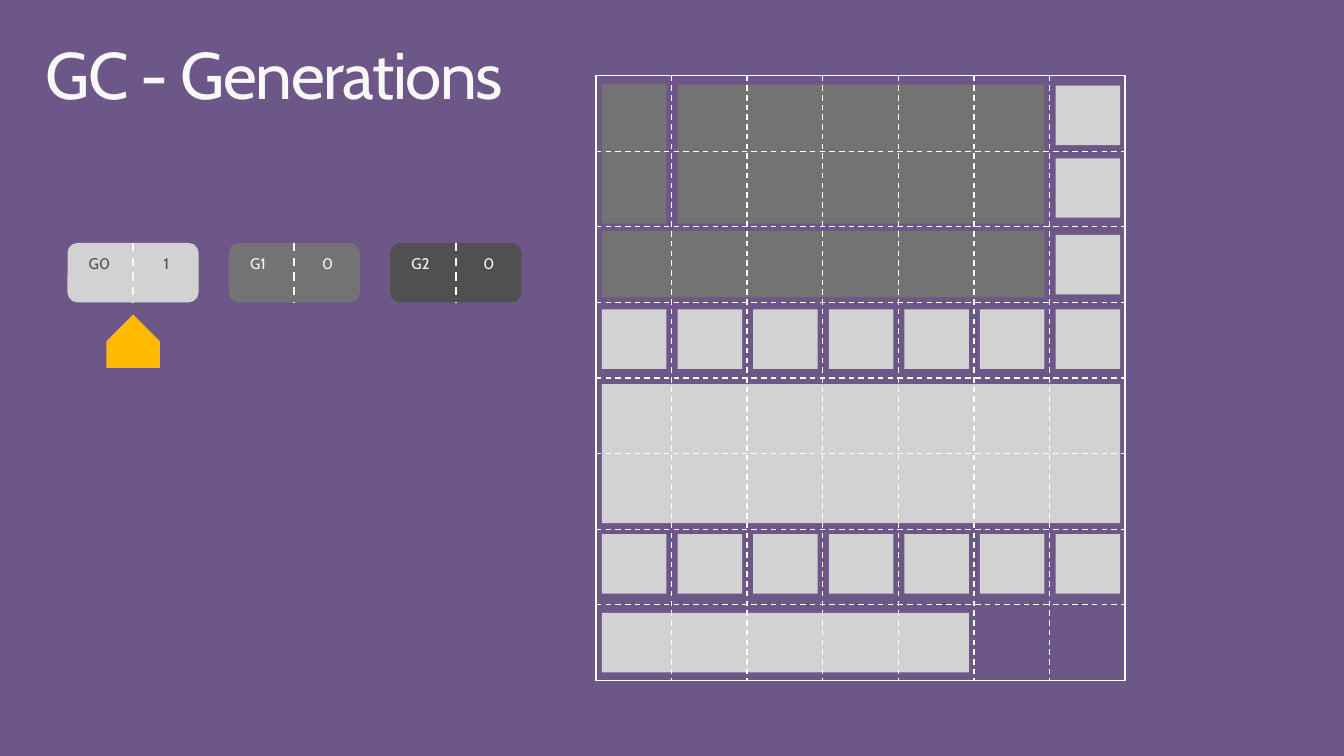
from lxml import etree
from pptx import Presentation
from pptx.dml.color import RGBColor
from pptx.enum.dml import MSO_LINE
from pptx.enum.shapes import MSO_CONNECTOR, MSO_SHAPE
from pptx.enum.text import MSO_ANCHOR, MSO_AUTO_SIZE, PP_ALIGN
from pptx.oxml.ns import qn
from pptx.util import Inches, Pt

RECT = MSO_SHAPE.RECTANGLE
PILL = MSO_SHAPE.ROUNDED_RECTANGLE
POINTER = MSO_SHAPE.PENTAGON
STRAIGHT = MSO_CONNECTOR.STRAIGHT
DASH = MSO_LINE.DASH
TOP = MSO_ANCHOR.TOP
GROW = MSO_AUTO_SIZE.SHAPE_TO_FIT_TEXT
LEFT, CENTER = PP_ALIGN.LEFT, PP_ALIGN.CENTER

SLIDE_W, SLIDE_H = 13.33, 7.5
FONT = "Cabin"
WHITE, PAPER, PURPLE, AMBER = "FFFFFF", "F8F8F8", "32145A", "FFB900"
LIGHT, MEDIUM, DARK = "D2D2D2", "737373", "505050"

HEAP_X, HEAP_Y, CELL = 5.91, 0.75, 0.75
COLUMNS, ROWS = 7, 8
INSET, GAP = 0.06, 0.11
SMALL = 0.59

GEN_X, GEN_Y, GEN_PITCH = 0.67, 2.41, 1.6
GEN_W, GEN_H = 1.3, 0.59
POINTER_SIZE = 0.53

# column, row, columns spanned, drop below the row line, height, fill
WIDE_BLOCKS = [
    (0, 7, 5, 0.08, SMALL, LIGHT),
    (0, 4, 7, 0.06, 1.38, LIGHT),
    (0, 0, 1, 0.08, 1.39, MEDIUM),
    (0, 2, 6, 0.04, 0.66, MEDIUM),
    (1, 0, 5, 0.09, 1.38, MEDIUM),
]
SMALL_BLOCKS = [(6, row, 1, drop, SMALL, LIGHT)
                for row, drop in ((0, 0.1), (1, 0.07), (2, 0.08))]
SMALL_BLOCKS += [(column, row, 1, drop, SMALL, LIGHT)
                 for row, drop in ((3, 0.07), (6, 0.05)) for column in range(COLUMNS)]

GENERATIONS = [("G0", "1", LIGHT, DARK), ("G1", "0", MEDIUM, PAPER), ("G2", "0", DARK, PAPER)]


def rgb(hex_color):
    """Turn a hex string into a colour."""
    return RGBColor.from_string(hex_color)


def add_box(shapes, kind, x, y, width, height, fill=None, outline=None):
    """Add a flat preset shape with an optional fill and outline."""
    box = shapes.add_shape(kind, Inches(x), Inches(y), Inches(width), Inches(height))
    box.shadow.inherit = False
    if fill:
        box.fill.solid()
        box.fill.fore_color.rgb = rgb(fill)
    else:
        box.fill.background()
    if outline:
        box.line.color.rgb = rgb(outline)
        box.line.width = Pt(1)
    else:
        box.line.fill.background()
    return box


def add_dashes(shapes, x1, y1, x2, y2, color, weight):
    """Add a dashed straight line without a shadow."""
    dashes = shapes.add_connector(STRAIGHT, Inches(x1), Inches(y1), Inches(x2), Inches(y2))
    dashes.line.color.rgb = rgb(color)
    dashes.line.width = Pt(weight)
    dashes.line.dash_style = DASH
    etree.SubElement(dashes._element.spPr, qn("a:effectLst"))
    return dashes


def add_text(shapes, x, y, width, height, words, size, color, margins, align=LEFT, after=0):
    """Add one line of text and return its box and run."""
    box = shapes.add_textbox(Inches(x), Inches(y), Inches(width), Inches(height))
    frame = box.text_frame
    frame.word_wrap = True
    frame.vertical_anchor = TOP
    frame.margin_left = frame.margin_right = Inches(margins[0])
    frame.margin_top = frame.margin_bottom = Inches(margins[1])
    paragraph = frame.paragraphs[0]
    paragraph.alignment = align
    paragraph.line_spacing = 0.9
    paragraph.space_after = Pt(after)
    run = paragraph.add_run()
    run.text = words
    run.font.name = FONT
    run.font.size = Pt(size)
    run.font.color.rgb = rgb(color)
    return box, run


def add_backdrop(slide):
    """Lay a translucent purple veil over the pale background."""
    slide.background.fill.solid()
    slide.background.fill.fore_color.rgb = rgb(PAPER)
    veil = add_box(slide.shapes, RECT, 0, 0, SLIDE_W, SLIDE_H, PURPLE)
    tint = veil._element.spPr.find(qn("a:solidFill"))[0]
    etree.SubElement(tint, qn("a:alpha"), val="70000")


def add_block(shapes, column, row, span, drop, height, fill):
    """Add an allocated block at a heap cell."""
    add_box(shapes, RECT, HEAP_X + column * CELL + INSET, HEAP_Y + row * CELL + drop,
            span * CELL - GAP, height, fill)


def add_heap_grid(shapes):
    """Add the heap's frame and its dashed cell lines."""
    right, bottom = HEAP_X + COLUMNS * CELL, HEAP_Y + ROWS * CELL
    heap = shapes.add_group_shape().shapes
    frame = add_box(heap, RECT, HEAP_X, HEAP_Y, COLUMNS * CELL, ROWS * CELL, outline=WHITE)
    for column in range(1, COLUMNS):
        x = HEAP_X + column * CELL
        add_dashes(heap, x, HEAP_Y, x, bottom, WHITE, 1)
    for row in range(1, ROWS):
        y = HEAP_Y + row * CELL
        divider = add_dashes(heap, HEAP_X, y, right, y, WHITE, 1)
        if row * 2 == ROWS:
            divider.begin_connect(frame, 1)
            divider.end_connect(frame, 3)


def add_generation(shapes, index, label, count, fill, color):
    """Add a generation pill with its label and collection count."""
    x, half = GEN_X + index * GEN_PITCH, GEN_W / 2
    generation = shapes.add_group_shape().shapes
    pill = add_box(generation, PILL, x, GEN_Y, GEN_W, GEN_H, fill)
    for side, (words, align) in enumerate(((label, LEFT), (count, CENTER))):
        box, _ = add_text(generation, x + 0.01 + side * half, GEN_Y + 0.05, half - 0.01, 0.49,
                          words, 11, color, (0.2, 0.16), align, after=6)
        box.text_frame.auto_size = GROW
    divider = add_dashes(generation, x + half, GEN_Y, x + half, GEN_Y + GEN_H, PAPER, 1.5)
    divider.begin_connect(pill, 0)
    divider.end_connect(pill, 2)


def main():
    """Build the garbage collector generations slide."""
    deck = Presentation()
    deck.slide_width, deck.slide_height = Inches(SLIDE_W), Inches(SLIDE_H)
    slide = deck.slides.add_slide(deck.slide_layouts[6])
    shapes = slide.shapes
    add_backdrop(slide)
    _, title = add_text(shapes, 0.29, 0.32, 12.75, 0.98, "GC - Generations", 47, PAPER, (0.16, 0.1))
    title.font._element.set("spc", "-100")
    for block in WIDE_BLOCKS:
        add_block(shapes, *block)
    add_heap_grid(shapes)
    for block in SMALL_BLOCKS:
        add_block(shapes, *block)
    for index, generation in enumerate(GENERATIONS):
        add_generation(shapes, index, *generation)
    pointer = add_box(shapes, POINTER, GEN_X + (GEN_W - POINTER_SIZE) / 2, GEN_Y + GEN_H + 0.12,
                      POINTER_SIZE, POINTER_SIZE, AMBER)
    pointer.rotation = 270
    deck.save("out.pptx")


if __name__ == "__main__":
    main()
